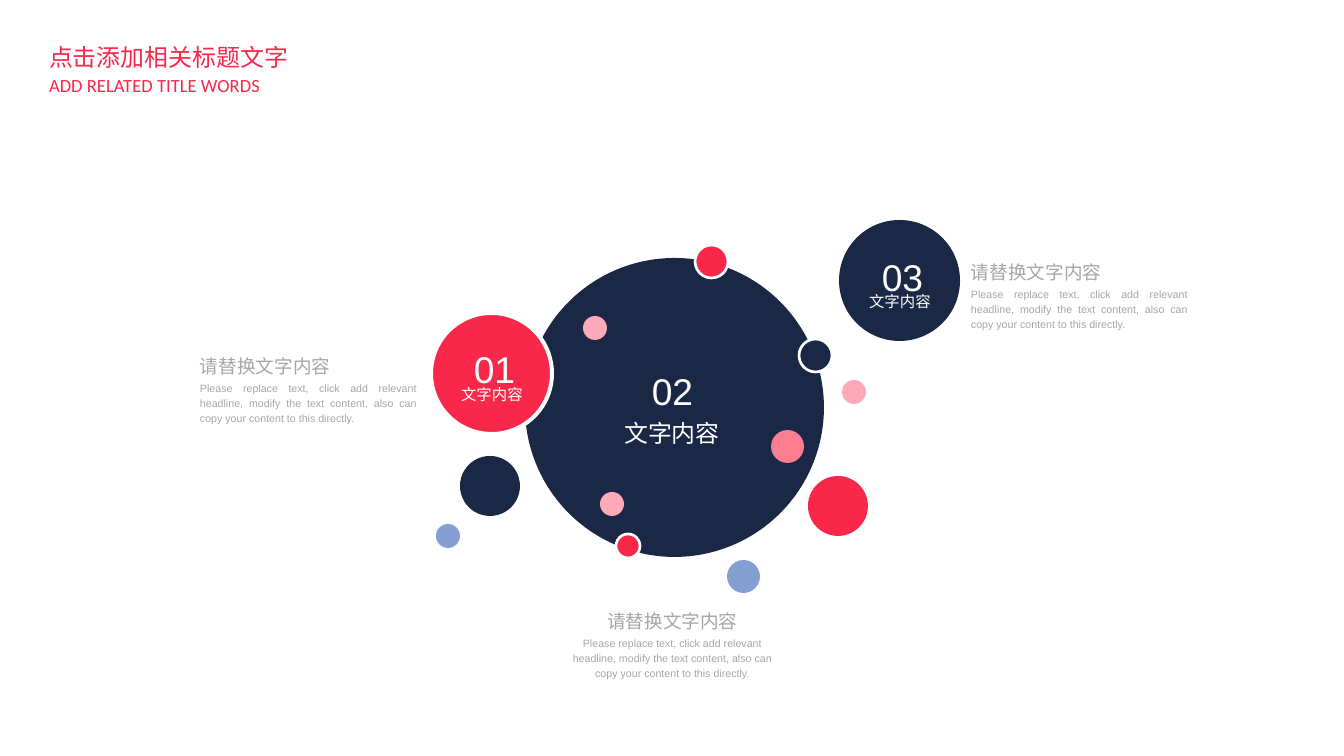
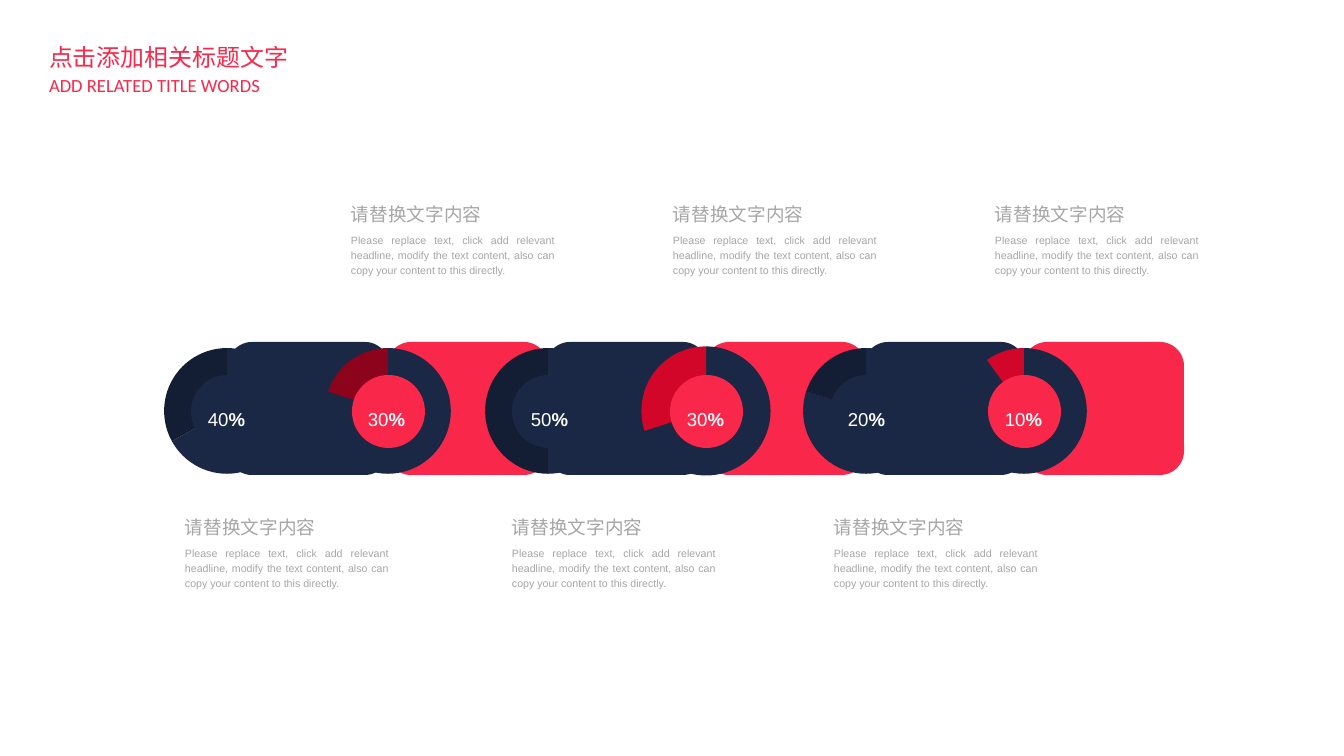
from lxml import etree
from pptx import Presentation
from pptx.chart.data import CategoryChartData
from pptx.dml.color import RGBColor
from pptx.enum.chart import XL_CHART_TYPE as ChartType
from pptx.enum.shapes import MSO_SHAPE as Shape
from pptx.enum.text import MSO_ANCHOR as Anchor, PP_ALIGN as Align
from pptx.oxml import parse_xml
from pptx.oxml.ns import nsdecls, qn
from pptx.util import Emu, Pt

PX = 9565  # EMU in one px
NAVY = RGBColor(0x1A, 0x28, 0x45)
DARK_NAVY = RGBColor(0x13, 0x1E, 0x34)
RED = RGBColor(0xF9, 0x27, 0x4A)
DEEP_RED = RGBColor(0xD2, 0x06, 0x28)
WINE = RGBColor(0x8C, 0x04, 0x1B)
ROSE = RGBColor(0xFB, 0x7D, 0x92)
PINK = RGBColor(0xFD, 0xA9, 0xB7)
BLUE = RGBColor(0x86, 0x9F, 0xD2)
GREY = RGBColor(0xA6, 0xA6, 0xA6)
WHITE = RGBColor(0xFF, 0xFF, 0xFF)

TITLE = "点击添加相关标题文字"
SUBTITLE = "ADD RELATED TITLE WORDS"
HEADING = "请替换文字内容"
BODY = ("Please replace text, click add relevant headline, modify the text "
        "content, also can copy your content to this directly.")
LABEL = "文字内容"


def px(*lengths):
    return [Emu(length * PX) for length in lengths]


def write(frame, *runs, size, color, font="Arial", align=Align.LEFT, spacing=1.0,
          anchor=Anchor.TOP, wrap=True, inset=(0, 0), bold_last=False):
    """Fill a text frame with one paragraph of runs."""
    frame.word_wrap = wrap
    frame.vertical_anchor = anchor
    frame.margin_left = frame.margin_right = Emu(inset[0] * PX)
    frame.margin_top = frame.margin_bottom = Emu(inset[1] * PX)
    paragraph = frame.paragraphs[0]
    paragraph.alignment = align
    paragraph.line_spacing = spacing
    paragraph.space_before = Pt(0)
    for text in runs:
        run = paragraph.add_run()
        run.text = text
        run.font.name = font
        run.font.size = Pt(size)
        run.font.color.rgb = color
        run.font.bold = bold_last and text == runs[-1]
        east_asian = etree.SubElement(run.font._element, qn("a:ea"))
        east_asian.set("typeface", font)


class Deck:
    """The shared style and the slide being drawn."""

    def __init__(self):
        self.presentation = Presentation()
        self.presentation.slide_width, self.presentation.slide_height = px(1344, 756)
        self.slide = None

    def add_slide(self):
        self.slide = self.presentation.slides.add_slide(self.presentation.slide_layouts[5])
        title = self.slide.shapes.title
        title.left, title.top, title.width, title.height = px(39, 38, 262, 39)
        style = dict(color=RED, wrap=False, inset=(10, 5))
        write(title.text_frame, TITLE, size=18, font="Noto Sans CJK SC", **style)
        self.text(39, 69, 233, 32, SUBTITLE, size=14, font="Calibri", **style)

    def text(self, left, top, width, height, *runs, **style):
        box = self.slide.shapes.add_textbox(*px(left, top, width, height))
        write(box.text_frame, *runs, **style)

    def shape(self, kind, left, top, width, height, fill, outline=0):
        shape = self.slide.shapes.add_shape(kind, *px(left, top, width, height))
        shape.shadow.inherit = False
        shape.fill.solid()
        shape.fill.fore_color.rgb = fill
        if outline:
            shape.line.color.rgb = WHITE
            shape.line.width = Pt(outline)
        else:
            shape.line.fill.background()
        return shape

    def circle(self, left, top, size, fill, outline=0):
        self.shape(Shape.OVAL, left, top, size, size, fill, outline)

    def caption(self, left, top, width, gap, align=Align.JUSTIFY, spacing=1.2):
        self.text(left, top, width, 27, HEADING, size=14, color=GREY,
                  align=align, spacing=spacing)
        self.text(left, top + gap, width, 45, BODY, size=8, color=GREY,
                  align=align, spacing=1.2)

    def pie(self, left, top, size, values, colors):
        data = CategoryChartData()
        data.categories = ["1", "2"]
        data.add_series("Series 1", values)
        chart = self.slide.shapes.add_chart(
            ChartType.PIE, *px(left, top, size, size), data).chart
        chart.has_legend = chart.has_title = False
        chart.font.name = "Arial"
        chart.font.size = Pt(30)
        plot = chart.plots[0]
        plot.vary_by_categories = False
        for index, color in enumerate(colors):
            point = plot.series[0].points[index]
            point.format.fill.solid()
            point.format.fill.fore_color.rgb = color
            point.format.line.fill.background()
        # Fixed inner plot area
        plot_area = chart._chartSpace.chart.plotArea
        for old_layout in plot_area.findall(qn("c:layout")):
            plot_area.remove(old_layout)
        plot_area.insert(0, parse_xml(
            f'<c:layout {nsdecls("c")}><c:manualLayout><c:layoutTarget val="inner"/>'
            '<c:xMode val="edge"/><c:yMode val="edge"/><c:x val="0.075"/>'
            '<c:y val="0"/><c:w val="0.85"/><c:h val="1"/>'
            '</c:manualLayout></c:layout>'))


def draw_circles(deck):
    deck.add_slide()
    # Large circle and its satellites: left, top, size, fill, outline
    for circle in [
        (525, 258, 299, NAVY), (695, 245, 33, RED, 2), (616, 534, 24, RED, 2),
        (842, 380, 24, PINK), (727, 560, 33, BLUE), (583, 316, 24, PINK),
        (431, 313, 121, RED, 3), (771, 430, 33, ROSE), (460, 456, 60, NAVY),
        (839, 220, 121, NAVY), (799, 339, 33, NAVY, 2), (436, 524, 24, BLUE),
        (600, 492, 24, PINK), (808, 476, 60, RED),
    ]:
        deck.circle(*circle)
    # Numbers and labels
    style = dict(color=WHITE, align=Align.CENTER, spacing=1.2)
    for number, left, top, label_left, label_top, label_height, label_size in [
        ("01", 463, 337, 439, 383, 20, 11.6),
        ("02", 641, 359, 619, 414, 32, 18),
        ("03", 871, 245, 847, 290, 20, 11.6),
    ]:
        deck.text(left, top, 63, 49, number, size=28, **style)
        deck.text(label_left, label_top, 106, label_height, LABEL,
                  size=label_size, anchor=Anchor.MIDDLE, **style)
    # Captions
    for left, top, align in [(200, 350, Align.JUSTIFY), (564, 605, Align.CENTER),
                             (971, 256, Align.JUSTIFY)]:
        deck.caption(left, top, 217, gap=29, align=align)


def draw_chain(deck):
    deck.add_slide()
    block_colors = [NAVY, RED] * 3
    # Overlapping blocks, the rightmost at the back
    for index in reversed(range(6)):
        block = deck.shape(Shape.ROUNDED_RECTANGLE, 228 + 159 * index, 342, 161, 133,
                           block_colors[index])
        block.adjustments[0] = 0.18
    # Rings: centre, size, values, slice colour, percentage, label left
    rings = [
        (227, 148, (67, 33), DARK_NAVY, "40", 197),
        (388, 148, (80, 20), WINE, "30", 357),
        (548, 148, (50, 50), DARK_NAVY, "50", 520),
        (706, 152, (70, 30), DEEP_RED, "30", 676),
        (866, 148, (80, 20), DARK_NAVY, "20", 837),
        (1024, 148, (90, 10), DEEP_RED, "10", 994),
    ]
    for ring, hole_color in zip(rings, block_colors):
        centre, size, values, slice_color, percentage, label_left = ring
        deck.pie(centre - size // 2, 411 - size // 2, size, values, (NAVY, slice_color))
        deck.circle(centre - 36, 375, 73, hole_color)
        deck.text(label_left, 396, 59, 32, percentage, "%", size=14, color=WHITE,
                  align=Align.CENTER, anchor=Anchor.MIDDLE, spacing=1.6, bold_last=True)
    # Captions above and below
    for top, lefts in [(203, (351, 673, 995)), (516, (185, 512, 834))]:
        for left in lefts:
            deck.caption(left, top, 204, gap=28, spacing=1.0)


def main():
    deck = Deck()
    draw_circles(deck)
    draw_chain(deck)
    deck.presentation.save("out.pptx")


if __name__ == "__main__":
    main()
